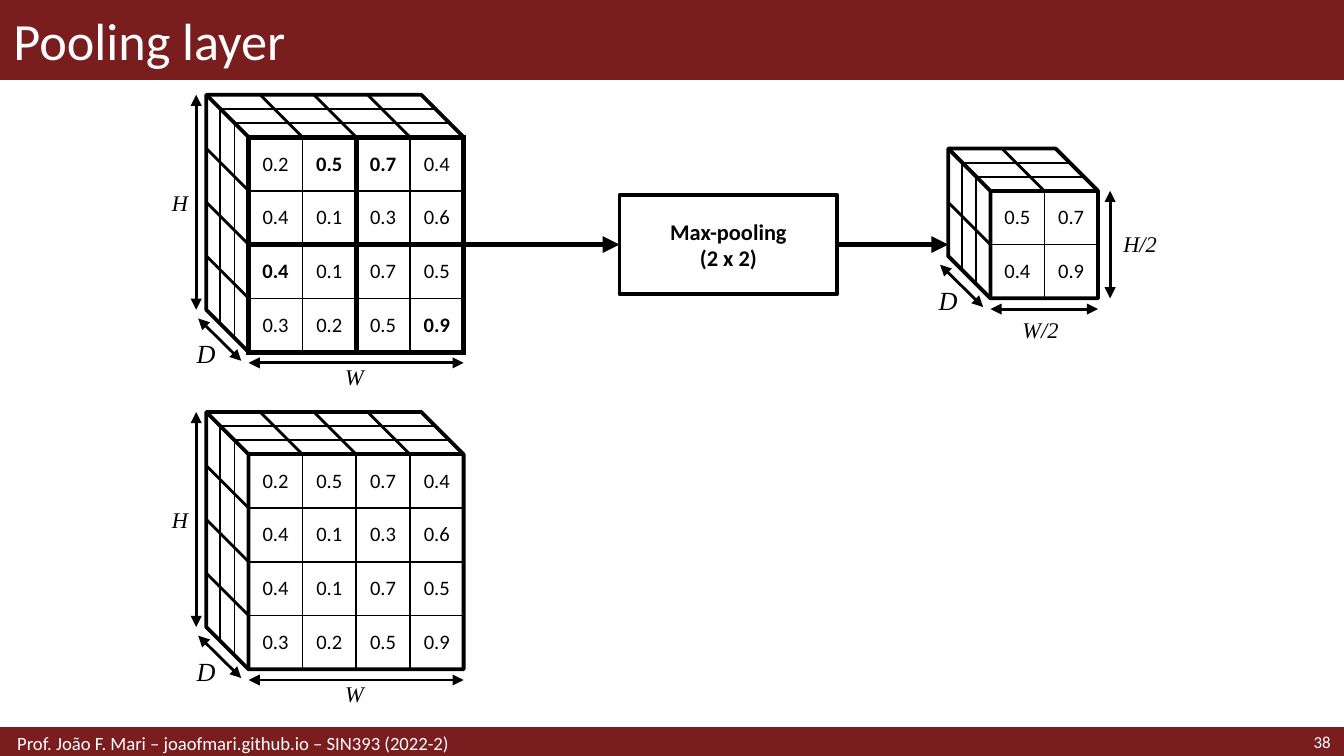
from lxml import etree
from pptx import Presentation
from pptx.dml.color import RGBColor
from pptx.enum.shapes import MSO_CONNECTOR, MSO_SHAPE
from pptx.enum.text import MSO_ANCHOR, MSO_AUTO_SIZE, PP_ALIGN
from pptx.oxml.ns import qn
from pptx.util import Pt

PX = 4572  # EMU per px, 200 px to the inch
WIDE, HIGH = 2000, 1125
CELL, DEPTH, LAYERS = 80, 63, 3
RED, BLACK, WHITE = "791D1F", "000000", "FFFFFF"
SANS, SERIF = "Calibri", "Times New Roman"
LEFT, MID, RIGHT = PP_ALIGN.LEFT, PP_ALIGN.CENTER, PP_ALIGN.RIGHT
TOP, CENTER = MSO_ANCHOR.TOP, MSO_ANCHOR.MIDDLE
RECT, CUBE = MSO_SHAPE.RECTANGLE, MSO_SHAPE.CUBE
STRAIGHT = MSO_CONNECTOR.STRAIGHT
NO_FIT = MSO_AUTO_SIZE.NONE

GRID = [
    [0.2, 0.5, 0.7, 0.4],
    [0.4, 0.1, 0.3, 0.6],
    [0.4, 0.1, 0.7, 0.5],
    [0.3, 0.2, 0.5, 0.9],
]


def px(*vals):
    return [round(v * PX) for v in vals]


def rgb(code):
    return RGBColor.from_string(code)


def peak(row, col):
    """Largest value of the 2 x 2 window that holds the cell."""
    r, c = row // 2 * 2, col // 2 * 2
    return max(GRID[r][c:c + 2] + GRID[r + 1][c:c + 2])


class Deck:
    def __init__(self):
        self.prs = Presentation()
        self.prs.slide_width, self.prs.slide_height = px(WIDE, HIGH)
        self.slide = self.prs.slides.add_slide(self.prs.slide_layouts[5])
        self.shapes = self.slide.shapes

    def words(self, frame, text, size, color=BLACK, align=LEFT, **fmt):
        style = {"name": SANS, "size": Pt(size), **fmt}
        frame.text = text
        for para in frame.paragraphs:
            para.alignment = align
            for run in para.runs:
                for key, val in style.items():
                    setattr(run.font, key, val)
                run.font.color.rgb = rgb(color)

    def title(self, text, *box):
        item = self.shapes.title
        for key, val in zip(("left", "top", "width", "height"), px(*box)):
            setattr(item, key, val)
        item.text_frame.auto_size = NO_FIT
        item.text_frame.vertical_anchor = CENTER
        self.words(item.text_frame, text, 28, WHITE)
        self.shapes._spTree.append(item._element)  # in front of the bar

    def text(self, text, box, size, anchor=TOP, **fmt):
        frame = self.shapes.add_textbox(*px(*box)).text_frame
        frame.word_wrap = True
        frame.vertical_anchor = anchor
        self.words(frame, text, size, **fmt)

    def label(self, text, box, size=12):
        self.text(text, box, size, name=SERIF, italic=True)

    def shape(self, kind, box, line=BLACK, width=2, fill=None):
        item = self.shapes.add_shape(kind, *px(*box))
        item.shadow.inherit = False
        if fill:
            item.fill.solid()
            item.fill.fore_color.rgb = rgb(fill)
        else:
            item.fill.background()
        item.line.color.rgb = rgb(line)
        item.line.width = Pt(width)
        return item

    def line(self, start, end, width=1.5, heads=()):
        item = self.shapes.add_connector(STRAIGHT, *px(*start, *end))
        item.line.color.rgb = rgb(BLACK)
        item.line.width = Pt(width)
        for head in heads:
            etree.SubElement(item.line._ln, qn(f"a:{head}"), type="triangle")
        etree.SubElement(item._element.spPr, qn("a:effectLst"))
        return item

    def span(self, start, end):
        self.line(start, end, heads=("headEnd", "tailEnd"))

    def border(self, cell, side, width):
        props = cell._tc.get_or_add_tcPr()
        edge = etree.SubElement(props, qn(f"a:ln{side}"), w=str(Pt(width)))
        fill = etree.SubElement(edge, qn("a:solidFill"))
        etree.SubElement(fill, qn("a:srgbClr"), val=BLACK)

    def table(self, rows, x, y, pooled=False):
        n = len(rows)
        grid = self.shapes.add_table(n, n, *px(x, y, CELL * n, CELL * n)).table
        grid.first_row = grid.horz_banding = False
        for i in range(n):
            grid.rows[i].height, grid.columns[i].width = px(CELL, CELL)
        for r, row in enumerate(rows):
            for c, val in enumerate(row):
                cell = grid.cell(r, c)
                # Window edges are heavy where pooling is shown
                outer = {"L": c % 2 == 0, "R": c % 2 == 1,
                         "T": r % 2 == 0, "B": r % 2 == 1}
                for side, edge in outer.items():
                    self.border(cell, side, 3 if pooled and edge else 1)
                cell.fill.background()
                cell.vertical_anchor = CENTER
                for side in ("left", "right", "top", "bottom"):
                    setattr(cell, f"margin_{side}", px(10)[0])
                self.words(cell.text_frame, str(val), 11, align=MID,
                           bold=pooled and val == peak(r, c))

    def block(self, rows, x, y, pooled=False):
        """Draw a cube whose front face has its top left corner at x, y."""
        n = len(rows)
        face = CELL * n
        base, side = y + face, face + DEPTH
        self.table(rows, x, y, pooled)
        cube = self.shape(CUBE, (x - DEPTH, y - DEPTH, side, side))
        cube.rotation = 270
        cube.adjustments[0] = DEPTH / side
        # Layers along the depth
        for i in range(LAYERS + 1):
            step = DEPTH * i // LAYERS
            a, b = x - step, y - step
            self.line((a, b), (a, b + face), 1)
            self.line((a + face, b), (a, b), 1)
        # Slanted cell edges on the left and top faces
        for j in range(n + 1):
            a, b = x + CELL * j, y + CELL * j
            self.line((x, b), (x - DEPTH, b - DEPTH))
            if j:
                self.line((a - DEPTH, y - DEPTH), (a, y))
        # Width and depth
        self.span((x, base + 16), (x + face, base + 16))
        self.span((x - 75, base - 50), (x - 11, base + 13))
        self.label("D", (x - 97, base - 31, 62, 68), 14)


deck = Deck()

# Bars, title and footer
deck.shape(RECT, (0, 0, WIDE, 118), RED, 1, RED)
deck.shape(RECT, (0, 1084, WIDE, 41), RED, 2, RED)
deck.title("Pooling layer", 0, 0, WIDE, 118)
deck.text("38", (1772, 1083, 228, 42), 9, CENTER, color=WHITE, align=RIGHT)
deck.text("Prof. João F. Mari – joaofmari.github.io – SIN393 (2022-2)",
          (6, 1084, 1372, 42), 10, CENTER, color=WHITE)

# Input blocks, the upper one with its pooling windows
for y, pooled in ((676, False), (204, True)):
    x, base = 370, y + 4 * CELL
    deck.block(GRID, x, y, pooled)
    deck.span((x - 78, base - DEPTH), (x - 78, y - DEPTH))
    deck.label("H", (x - 134, y + 67, 62, 60))
    deck.label("W", (x + 124, base + 6, 72, 60))

# Pooled block
x, y = 1474, 284
base = y + 2 * CELL
pool = [[peak(r, c) for c in (0, 2)] for r in (0, 2)]
deck.block(pool, x, y)
deck.span((x + 178, base), (x + 178, y))
deck.label("H/2", (x + 178, y + 49, 114, 60))
deck.label("W/2", (x + 28, base + 16, 106, 60))

# Pooling step and its arrows
step = deck.shape(RECT, (922, 290, 324, 148))
step.text_frame.vertical_anchor = CENTER
deck.words(step.text_frame, "Max-pooling\n(2 x 2)", 12, align=MID, bold=True)
flow = deck.line((690, 364), (922, 364), 3, ["tailEnd"])
flow.end_connect(step, 1)
flow = deck.line((1246, 364), (x - DEPTH, 364), 3, ["tailEnd"])
flow.begin_connect(step, 3)

deck.prs.save("out.pptx")
